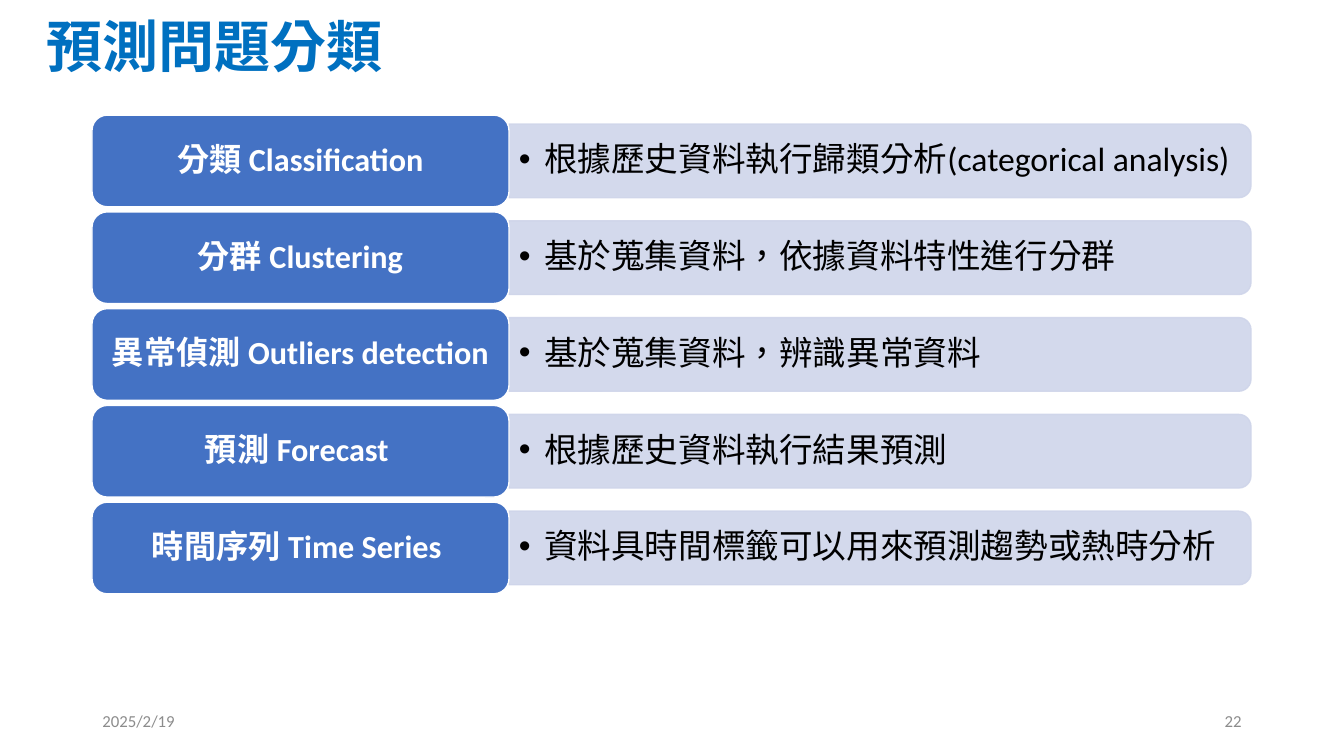
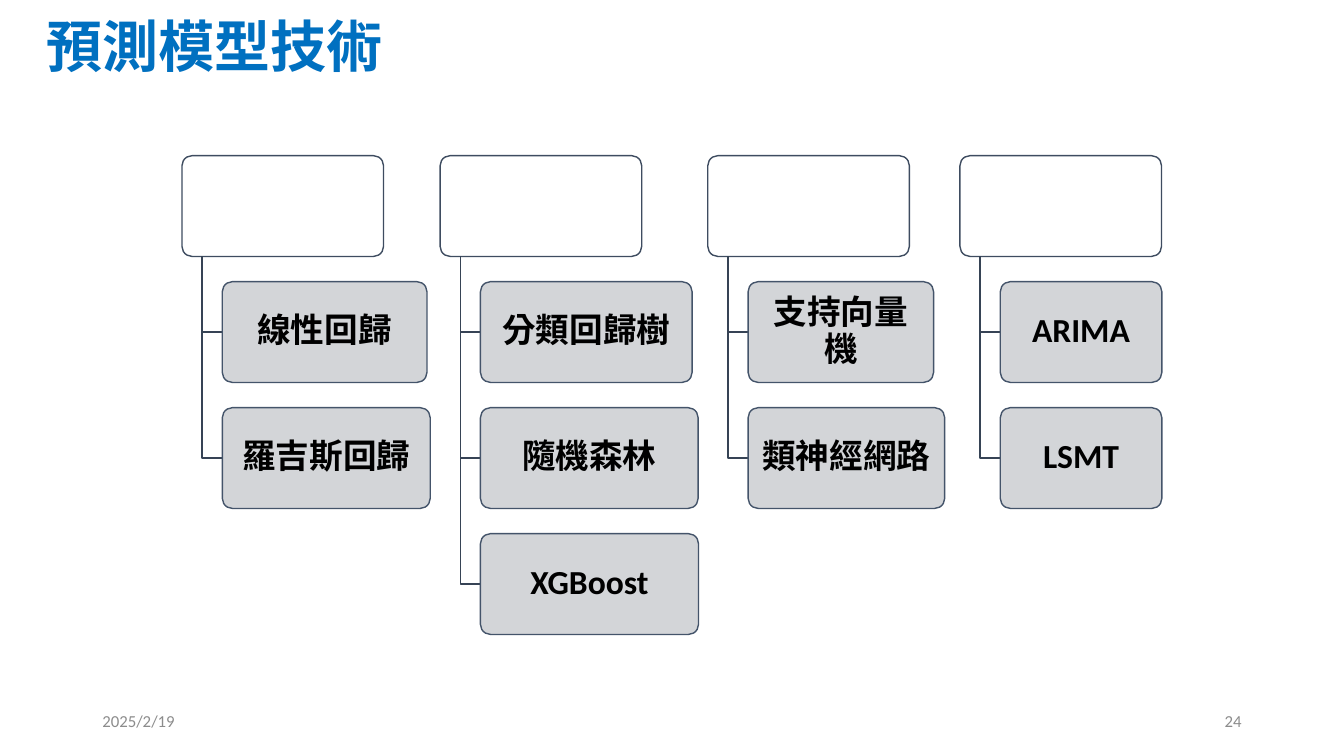
from dataclasses import dataclass

from lxml import etree
from pptx import Presentation
from pptx.dml import color
from pptx.enum import lang, shapes, text
from pptx.oxml import ns
from pptx.util import Pt

# Content
DATE = "2025/2/19"

PROBLEMS = {
    "title": "預測問題分類",
    "number": "22",
    "rows": [
        ("分類 Classification", "根據歷史資料執行歸類分析(categorical analysis)"),
        ("分群 Clustering", "基於蒐集資料，依據資料特性進行分群"),
        ("異常偵測 Outliers detection", "基於蒐集資料，辨識異常資料"),
        ("預測 Forecast ", "根據歷史資料執行結果預測"),
        ("時間序列 Time Series ", "資料具時間標籤可以用來預測趨勢或熱時分析"),
    ],
}

# Each tree: left edge, then (technique, box width)
TECHNIQUES = {
    "title": "預測模型技術",
    "number": "24",
    "trees": [
        (130, [("線性回歸", 146.2), ("羅吉斯回歸", 148.5)]),
        (314.4, [("分類回歸樹", 151.2), ("隨機森林", 155.5), ("XGBoost", 155.8)]),
        (505.6, [("支持向量機", 132.5), ("類神經網路", 140.4)]),
        (685.7, [("ARIMA", 115.4), ("LSMT", 115.4)]),
    ],
}


@dataclass(frozen=True)
class Theme:
    font: str = "Calibri"
    title: str = "0070C0"
    footer: str = "8C8C8C"
    white: str = "FFFFFF"
    black: str = "000000"
    label: str = "4472C4"
    band: str = "CFD5EA"
    root_line: str = "3E4C60"
    branch: str = "364355"
    leaf: str = "CFD1D4"
    leaf_line: str = "44546A"
    title_size: int = 40
    label_size: int = 23
    body_size: int = 24
    footer_size: int = 12
    opacity: int = 90


THEME = Theme()
LEFT, CENTER, RIGHT = (text.PP_ALIGN.LEFT, text.PP_ALIGN.CENTER, text.PP_ALIGN.RIGHT)


# Shared helpers
def points(*values):
    return [Pt(value) for value in values]


def paint(target, hex_color, opacity=100):
    """Give a fill (of a shape or a line) one colour and an opacity."""
    target.solid()
    target.fore_color.rgb = color.RGBColor.from_string(hex_color)
    if opacity < 100:
        solid = target._xPr.find(ns.qn("a:solidFill"))
        etree.SubElement(solid[0], ns.qn("a:alpha"), val=str(opacity * 1000))


def add_box(page, kind, area, fill, line, opacity=100, line_opacity=100):
    box = page.shapes.add_shape(kind, *points(*area))
    box.shadow.inherit = False
    paint(box.fill, fill, opacity)
    paint(box.line.fill, line, line_opacity)
    box.line.width = Pt(1)
    return box


def write(box, words, size, hex_color, bold=False, align=LEFT, spacing=0.9,
          inset=7.2, bullet=False):
    frame = box.text_frame
    frame.text = words
    frame.word_wrap = True
    frame.auto_size = text.MSO_AUTO_SIZE.NONE
    frame.vertical_anchor = text.MSO_ANCHOR.MIDDLE
    frame.margin_left = frame.margin_right = Pt(inset)
    frame.margin_top = frame.margin_bottom = Pt(3.6)
    para = frame.paragraphs[0]
    para.alignment = align
    para.line_spacing = spacing
    if bullet:
        props = para._p.get_or_add_pPr()
        props.set("marL", str(Pt(18)))
        props.set("indent", str(-Pt(18)))
        etree.SubElement(props, ns.qn("a:buFont"), typeface="Arial")
        etree.SubElement(props, ns.qn("a:buChar"), char="•")
    font = para.runs[0].font
    font.name = THEME.font
    font.size = Pt(size)
    font.bold = bold
    font.color.rgb = color.RGBColor.from_string(hex_color)
    font.language_id = lang.MSO_LANGUAGE_ID.TRADITIONAL_CHINESE


def add_page(deck, content):
    """Add a page with its title, date and page number."""
    page = deck.slides.add_slide(deck.slide_layouts[5])
    title = page.shapes.title
    title.left, title.top, title.width, title.height = points(26, 5.8, 906.5, 58.3)
    write(title, content["title"], THEME.title_size, THEME.title, bold=True)
    for left, words, align in ((66, DATE, LEFT), (678, content["number"], RIGHT)):
        box = page.shapes.add_textbox(*points(left, 500.5, 216, 28.8))
        write(box, words, THEME.footer_size, THEME.footer, align=align, spacing=1.0)
    return page


# Labelled rows: a label on the left, a band with its description on the right
def add_rows(page, rows):
    left, top, pitch = 65.7, 82.2, 69.12
    label_width, label_height = 297.9, 65.5
    band_width, band_height, text_height = 530, 52.6, 47.5
    band_left = left + label_width
    for index, (label, description) in enumerate(rows):
        row_top = top + index * pitch
        middle = row_top + label_height / 2
        # The band is a standing shape turned a quarter to the right
        turned = (band_left + (band_width - band_height) / 2,
                  middle - band_width / 2, band_height, band_width)
        band = add_box(page, shapes.MSO_SHAPE.ROUND_2_SAME_RECTANGLE, turned,
                       THEME.band, THEME.band, THEME.opacity, THEME.opacity)
        band.rotation = 90
        caption = page.shapes.add_textbox(
            *points(band_left, middle - text_height / 2, band_width - 3, text_height))
        write(caption, description, THEME.body_size, THEME.black, bullet=True)
        tag = add_box(page, shapes.MSO_SHAPE.ROUNDED_RECTANGLE,
                      (left, row_top, label_width, label_height),
                      THEME.label, THEME.white)
        write(tag, label, THEME.label_size, THEME.white, bold=True,
              align=CENTER, inset=10)


# Trees: an empty root box with techniques hanging below it
def add_rounded(page, area, fill, line, opacity=100):
    box = add_box(page, shapes.MSO_SHAPE.ROUNDED_RECTANGLE, area, fill, line, opacity)
    box.adjustments[0] = 0.1
    return box


def add_branch(page, trunk, top, end, middle):
    builder = page.shapes.build_freeform(*points(trunk, top))
    builder.add_line_segments(
        [points(trunk, middle), points(end, middle)], close=False)
    branch = builder.convert_to_shape()
    branch.shadow.inherit = False
    branch.fill.background()
    paint(branch.line.fill, THEME.branch)
    branch.line.width = Pt(1)


def add_trees(page, trees):
    top, height, pitch = 111.2, 72, 90
    root_width, step = 144, 14.4
    for left, techniques in trees:
        add_rounded(page, (left, top, root_width, height),
                    THEME.white, THEME.root_line)
        trunk, leaf_left = left + step, left + 2 * step
        for index, (name, width) in enumerate(techniques, start=1):
            leaf_top = top + index * pitch
            add_branch(page, trunk, top + height, leaf_left, leaf_top + height / 2)
            leaf = add_rounded(page, (leaf_left, leaf_top, width, height),
                               THEME.leaf, THEME.leaf_line, THEME.opacity)
            write(leaf, name, THEME.body_size, THEME.black, bold=True,
                  align=CENTER, inset=5)


def main():
    deck = Presentation()
    deck.slide_width, deck.slide_height = points(960, 540)
    add_rows(add_page(deck, PROBLEMS), PROBLEMS["rows"])
    add_trees(add_page(deck, TECHNIQUES), TECHNIQUES["trees"])
    deck.save("out.pptx")


if __name__ == "__main__":
    main()
